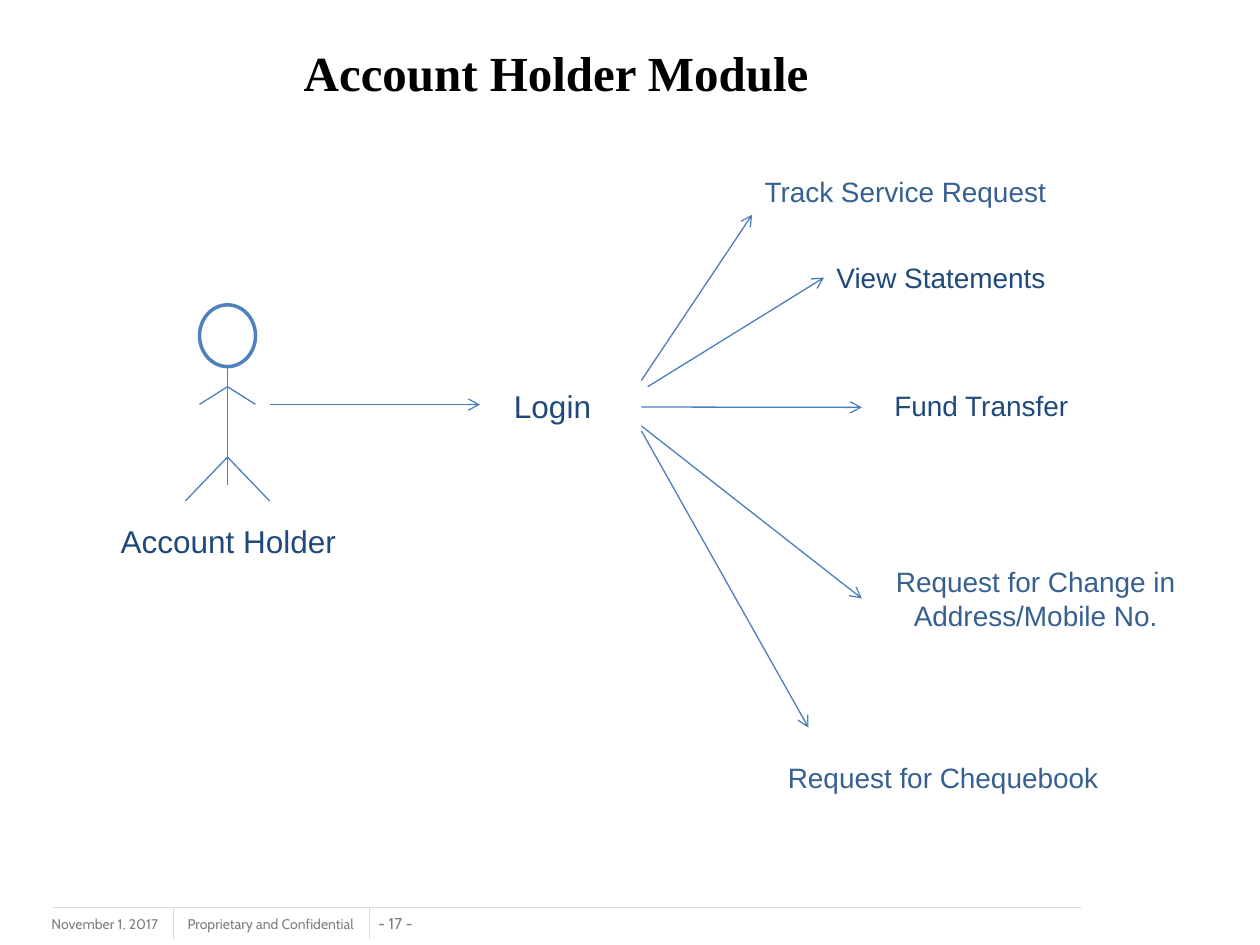
from lxml.etree import SubElement
from pptx import Presentation
from pptx.dml.color import RGBColor
from pptx.enum.shapes import MSO_CONNECTOR, MSO_SHAPE
from pptx.enum.text import MSO_ANCHOR, PP_ALIGN
from pptx.oxml.ns import qn
from pptx.util import Pt

# Theme: colours, fonts and type sizes
THEME = {
    "white": "FFFFFF", "rule": "D9D9D9", "head": "4F81BD", "line": "4B7EBC",
    "title": {"name": "Times New Roman", "size": 28, "color": "000000", "bold": True},
    "actor": {"name": "Arial", "size": 18, "color": "1F497D"},
    "action": {"name": "Arial", "size": 16, "color": "1F497D"},
    "request": {"name": "Arial", "size": 16, "color": "376092"},
    "footer": {"name": "Cabin", "size": 8, "color": "7F7F7F"},
    "number": {"name": "Cabin", "size": 9, "color": "7F7F7F"},
}

# Content: text, style, (left, top, width, height), wrap
LABELS = [
    ("November 1, 2017", "footer", (22.3, 519.8, 95.8, 18), True),
    ("Proprietary and Confidential", "footer", (100.1, 519.8, 113, 17.3), False),
    ("Account Holder Module", "title", (166.5, 21.7, 310, 38.9), True),
    ("Login", "actor", (286.6, 217.4, 59, 28.8), False),
    ("Account Holder", "actor", (61.9, 294.5, 139, 28.8), False),
    ("Fund Transfer", "action", (504, 218.5, 115.2, 26.6), False),
    ("View Statements", "action", (470.9, 145.4, 135.4, 26.6), False),
    ("Track Service Request", "request", (429.8, 96.1, 224.6, 26.6), True),
]
PAGE_NUMBER = ("- 17 -", "number", (211, 522, 30, 10.8), False)
PANELS = [
    ("Request for Change in Address/Mobile No.", "request", (499.7, 309.1, 184.3, 65.5)),
    ("Request for Chequebook", "request", (439.9, 415.9, 198, 56.9)),
]

# Footer rules: one across, two dividers
RULE_Y, RULE_END = 518.4, 536.4
RULES = [((617.8, RULE_Y), (30.2, RULE_Y))]
RULES += [((x, RULE_Y), (x, RULE_END)) for x in (99.2, 211)]

# Stick figure, mirrored about its axis
AXIS, HEAD_TOP, HEAD_WIDTH, HEAD_HEIGHT = 130, 174.2, 32, 35.3
BODY = ((AXIS, 209.5), (AXIS, 277.2))
LIMBS = [(221, 231.1, 16), (261.2, 286.3, 24.1)]  # joint y, end y, reach

# Arrows, tail to tip
ARROWS = [
    ((154.1, 231.2), (274.3, 231.2)),
    ((366.5, 217.4), (429.8, 122.7)),
    ((370.1, 221), (470.9, 158.6)),
    ((366.5, 232.6), (492.5, 232.8)),
    ((366.5, 243.4), (492.5, 342)),
    ((366.5, 246.2), (462, 415.8)),
]


def points(values):
    return [Pt(value) for value in values]


def write(frame, text, style, **settings):
    for name, value in settings.items():
        setattr(frame, name, value)
    span = frame.paragraphs[0].add_run()
    span.text = text
    look = dict(THEME[style])
    span.font.color.rgb = RGBColor.from_string(look.pop("color"))
    look["size"] = Pt(look["size"])
    for name, value in look.items():
        setattr(span.font, name, value)


def add_label(page, text, style, place, wrap, **settings):
    box = page.shapes.add_textbox(*points(place))
    write(box.text_frame, text, style, word_wrap=wrap, **settings)
    return box


def add_outline(page, kind, place, color, fill=None):
    shape = page.shapes.add_shape(kind, *points(place))
    shape.shadow.inherit = False
    shape.line.color.rgb = RGBColor.from_string(color)
    shape.line.width = Pt(2)
    if fill:
        shape.fill.solid()
        shape.fill.fore_color.rgb = RGBColor.from_string(fill)
    else:
        shape.fill.background()
    return shape


def add_line(page, start, end, color, arrow=False):
    line = page.shapes.add_connector(MSO_CONNECTOR.STRAIGHT, *points(start + end))
    line.line.color.rgb = RGBColor.from_string(color)
    line.line.width = Pt(0.75)
    if arrow:
        SubElement(line.line._get_or_add_ln(), qn("a:tailEnd"), type="arrow")
    SubElement(line._element.spPr, qn("a:effectLst"))


def main():
    deck = Presentation()
    deck.slide_width, deck.slide_height = Pt(720), Pt(540)
    page = deck.slides.add_slide(deck.slide_layouts[6])

    # Footer
    for start, end in RULES:
        add_line(page, start, end, THEME["rule"])
    number = add_label(page, *PAGE_NUMBER, vertical_anchor=MSO_ANCHOR.BOTTOM,
                       margin_left=0, margin_right=0, margin_top=0, margin_bottom=0)
    number.text_frame.paragraphs[0].alignment = PP_ALIGN.CENTER

    # Account holder figure
    head = (AXIS - HEAD_WIDTH / 2, HEAD_TOP, HEAD_WIDTH, HEAD_HEIGHT)
    add_outline(page, MSO_SHAPE.OVAL, head, THEME["head"])
    add_line(page, *BODY, THEME["head"])
    for joint, end, reach in LIMBS:
        for side in (-1, 1):
            add_line(page, (AXIS, joint), (AXIS + side * reach, end), THEME["line"])

    # Request panels
    for text, style, place in PANELS:
        panel = add_outline(page, MSO_SHAPE.RECTANGLE, place, THEME["white"], THEME["white"])
        write(panel.text_frame, text, style, word_wrap=True,
              vertical_anchor=MSO_ANCHOR.MIDDLE)
        panel.text_frame.paragraphs[0].alignment = PP_ALIGN.CENTER

    # Labels and arrows
    for text, style, place, wrap in LABELS:
        anchor = MSO_ANCHOR.MIDDLE if style == "title" else MSO_ANCHOR.TOP
        add_label(page, text, style, place, wrap, vertical_anchor=anchor)
    for start, end in ARROWS:
        add_line(page, start, end, THEME["line"], arrow=True)

    deck.save("out.pptx")


if __name__ == "__main__":
    main()
